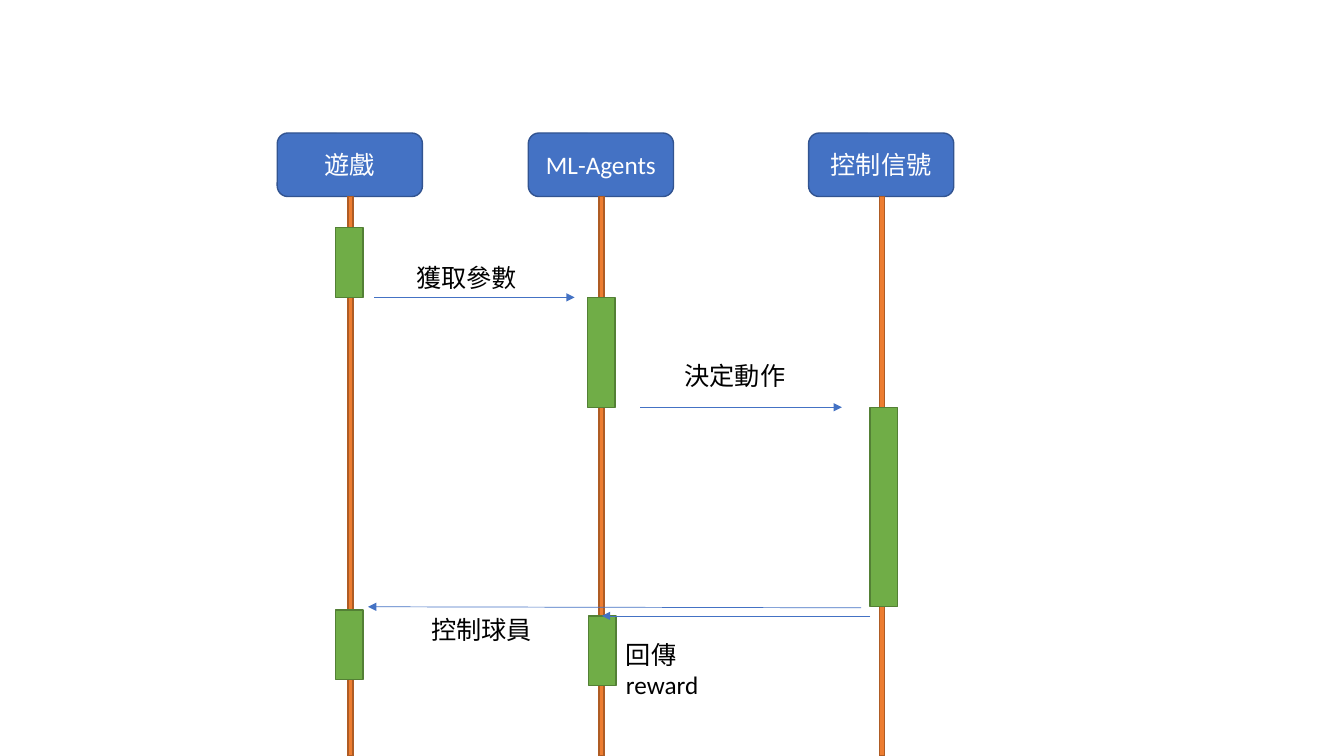
from lxml import etree
from pptx import Presentation
from pptx.dml.color import RGBColor
from pptx.enum.shapes import MSO_CONNECTOR, MSO_SHAPE
from pptx.enum.text import MSO_ANCHOR, PP_ALIGN
from pptx.oxml.ns import qn
from pptx.util import Inches, Pt


def add_box(kind, left, top, width, height, fill, outline):
    box = page.shapes.add_shape(
        kind, Inches(left), Inches(top), Inches(width), Inches(height))
    box.shadow.inherit = False
    box.fill.solid()
    box.fill.fore_color.rgb = RGBColor.from_string(fill)
    box.line.color.rgb = RGBColor.from_string(outline)
    box.line.width = Pt(1)
    return box


def add_text(frame, text, color):
    para = frame.paragraphs[0]
    span = para.add_run()
    span.text = text
    span.font.size = Pt(18)
    span.font.name = "Calibri"
    span.font.color.rgb = RGBColor.from_string(color)
    return para


deck = Presentation()
deck.slide_width, deck.slide_height = Inches(13.33), Inches(7.5)
page = deck.slides.add_slide(deck.slide_layouts[6])

# Participants with their lifelines
head_top, head_width, head_height = 1.32, 1.44, 0.63
line_top = head_top + head_height
for name, left in [("遊戲", 2.75), ("ML-Agents", 5.24), ("控制信號", 8.02)]:
    head = add_box(MSO_SHAPE.ROUNDED_RECTANGLE, left, head_top,
                   head_width, head_height, "4472C4", "325491")
    head.text_frame.vertical_anchor = MSO_ANCHOR.MIDDLE
    add_text(head.text_frame, name, "FFFFFF").alignment = PP_ALIGN.CENTER
    add_box(MSO_SHAPE.RECTANGLE, left + 0.7, line_top,
            0.05, 7.5 - line_top, "ED7D31", "AF5C24")

# Activation bars: left, top, height
for left, top, height in [(3.33, 2.26, 0.69), (5.83, 2.95, 1.09),
                          (8.63, 4.04, 1.98), (3.33, 6.05, 0.69),
                          (5.84, 6.11, 0.69)]:
    add_box(MSO_SHAPE.RECTANGLE, left, top, 0.27, height, "70AD47", "538035")

# Message arrows: start x, start y, end x, end y
for ends in [(3.71, 2.95, 5.7, 2.95), (6.35, 4.04, 8.35, 4.04),
             (8.54, 6.03, 3.65, 6.02), (8.63, 6.11, 5.97, 6.11)]:
    arrow = page.shapes.add_connector(
        MSO_CONNECTOR.STRAIGHT, *[Inches(value) for value in ends])
    arrow.line.color.rgb = RGBColor.from_string("4472C4")
    arrow.line.width = Pt(0.5)
    etree.SubElement(arrow.line._get_or_add_ln(), qn("a:tailEnd"), type="triangle")
    etree.SubElement(arrow._element.spPr, qn("a:effectLst"))

# Message labels: the last one wraps onto two lines
for text, left, top, height, wrap in [("獲取參數", 4.03, 2.55, 0.4, False),
                                      ("決定動作", 6.69, 3.53, 0.4, False),
                                      ("控制球員", 4.18, 6.05, 0.4, False),
                                      ("回傳reward", 6.11, 6.29, 0.7, True)]:
    label = page.shapes.add_textbox(
        Inches(left), Inches(top), Inches(1.21), Inches(height))
    label.text_frame.word_wrap = wrap
    add_text(label.text_frame, text, "000000")

deck.save("out.pptx")
